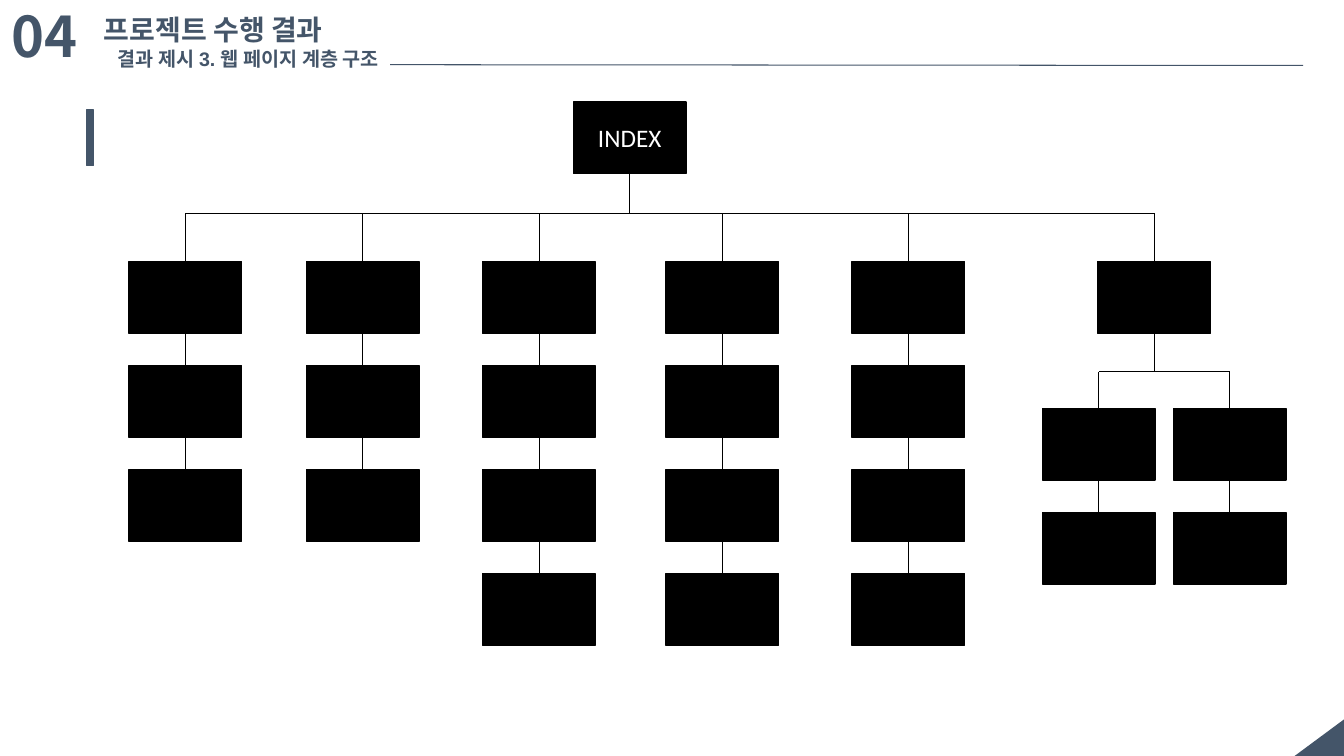
from pptx import Presentation
from pptx.dml.color import RGBColor
from pptx.enum.shapes import MSO_CONNECTOR as Wire, MSO_SHAPE as Form
from pptx.enum.text import MSO_ANCHOR as Anchor, MSO_AUTO_SIZE as Fit, PP_ALIGN as Align
from pptx.oxml.ns import qn
from pptx.util import Cm, Pt
from lxml.etree import SubElement

SLATE = RGBColor(0x44, 0x55, 0x69)
BLACK = RGBColor(0, 0, 0)
WHITE = RGBColor(255, 255, 255)

BOX_W, BOX_H, STEP = 2.84, 1.81, 2.62
ROW_Y, BUS_Y = 6.59, 5.37
FORK_Y, LEAF_Y = 9.37, 10.29
COLUMNS = [(3.25, 3), (7.72, 3), (12.16, 4), (16.78, 4), (21.47, 4), (27.66, 1)]
LEAVES = [(26.27, 2), (29.57, 2)]


def add_form(slide, form, left, top, width, height, color):
    shape = slide.shapes.add_shape(form, Cm(left), Cm(top), Cm(width), Cm(height))
    shape.shadow.inherit = False
    shape.fill.solid()
    shape.fill.fore_color.rgb = color
    shape.line.color.rgb = color
    shape.line.width = Pt(1)
    return shape


def add_box(slide, left, top):
    return add_form(slide, Form.RECTANGLE, left, top, BOX_W, BOX_H, BLACK)


def add_line(slide, start, end, color=BLACK, width=0.5):
    line = slide.shapes.add_connector(Wire.STRAIGHT, *start, *end)
    line.line.color.rgb = color
    line.line.width = Pt(width)
    SubElement(line._element.spPr, qn("a:effectLst"))
    return line


def center(box):
    return box.left + box.width // 2


def add_drop(slide, y, box):
    x = center(box)
    add_line(slide, (x, Cm(y)), (x, box.top)).end_connect(box, 0)


def add_stem(slide, box, y):
    x = center(box)
    add_line(slide, (x, box.top + box.height), (x, Cm(y))).begin_connect(box, 2)


def add_column(slide, left, top, count):
    boxes = [add_box(slide, left, top + row * STEP) for row in range(count)]
    for upper, lower in zip(boxes, boxes[1:]):
        x = center(upper)
        line = add_line(slide, (x, upper.top + upper.height), (x, lower.top))
        line.begin_connect(upper, 2)
        line.end_connect(lower, 0)
    return boxes[0]


def add_tree(slide, y, top, columns):
    heads = [add_column(slide, left, top, count) for left, count in columns]
    add_line(slide, (center(heads[0]), Cm(y)), (center(heads[-1]), Cm(y)))
    for head in heads:
        add_drop(slide, y, head)
    return heads


def set_text(shape, text, size, font, color, align=Align.LEFT, bold=True):
    frame = shape.text_frame
    frame.text = text
    para = frame.paragraphs[0]
    para.alignment = align
    para.font.size = Pt(size)
    para.font.name = font
    para.font.bold = bold
    para.font.color.rgb = color


def set_label(shape, text, size, font, wrap=True):
    set_text(shape, text, size, font, SLATE)
    frame = shape.text_frame
    frame.word_wrap = wrap
    frame.auto_size = Fit.NONE
    frame.vertical_anchor = Anchor.TOP


def add_label(slide, left, top, width, height, *style):
    label = slide.shapes.add_textbox(Cm(left), Cm(top), Cm(width), Cm(height))
    set_label(label, *style)


def add_header(slide):
    title = slide.shapes.title
    title.left, title.top = Cm(2.36), Cm(0.18)
    title.width, title.height = Cm(6.71), Cm(1.11)
    set_label(title, "프로젝트 수행 결과", 20, "Arial", False)
    add_label(slide, 0.05, -0.08, 3.23, 1.96, "04", 40, "Noto Sans CJK KR")
    add_label(slide, 2.72, 1.07, 8.99, 0.86, "결과 제시 3. 웹 페이지 계층 구조", 14, "Arial")
    add_line(slide, (Cm(9.83), Cm(1.63)), (Cm(32.84), Cm(1.65)), SLATE, 0.75)
    add_form(slide, Form.RECTANGLE, 2.18, 2.77, 0.18, 1.4, SLATE)


def add_corner(slide):
    corner = add_form(slide, Form.RIGHT_TRIANGLE, 32.77, 17.96, 0.94, 1.27, SLATE)
    corner.rotation = 270
    corner.line.fill.background()


def main():
    deck = Presentation()
    deck.slide_width, deck.slide_height = Cm(33.87), Cm(19.05)
    slide = deck.slides.add_slide(deck.slide_layouts[5])
    add_corner(slide)
    add_header(slide)
    index = add_box(slide, 14.45, 2.57)
    set_text(index, "INDEX", 18, "Calibri", WHITE, Align.CENTER, False)
    index.text_frame.vertical_anchor = Anchor.MIDDLE
    add_stem(slide, index, BUS_Y)
    heads = add_tree(slide, BUS_Y, ROW_Y, COLUMNS)
    add_stem(slide, heads[-1], FORK_Y)
    add_tree(slide, FORK_Y, LEAF_Y, LEAVES)
    deck.save("out.pptx")


if __name__ == "__main__":
    main()
